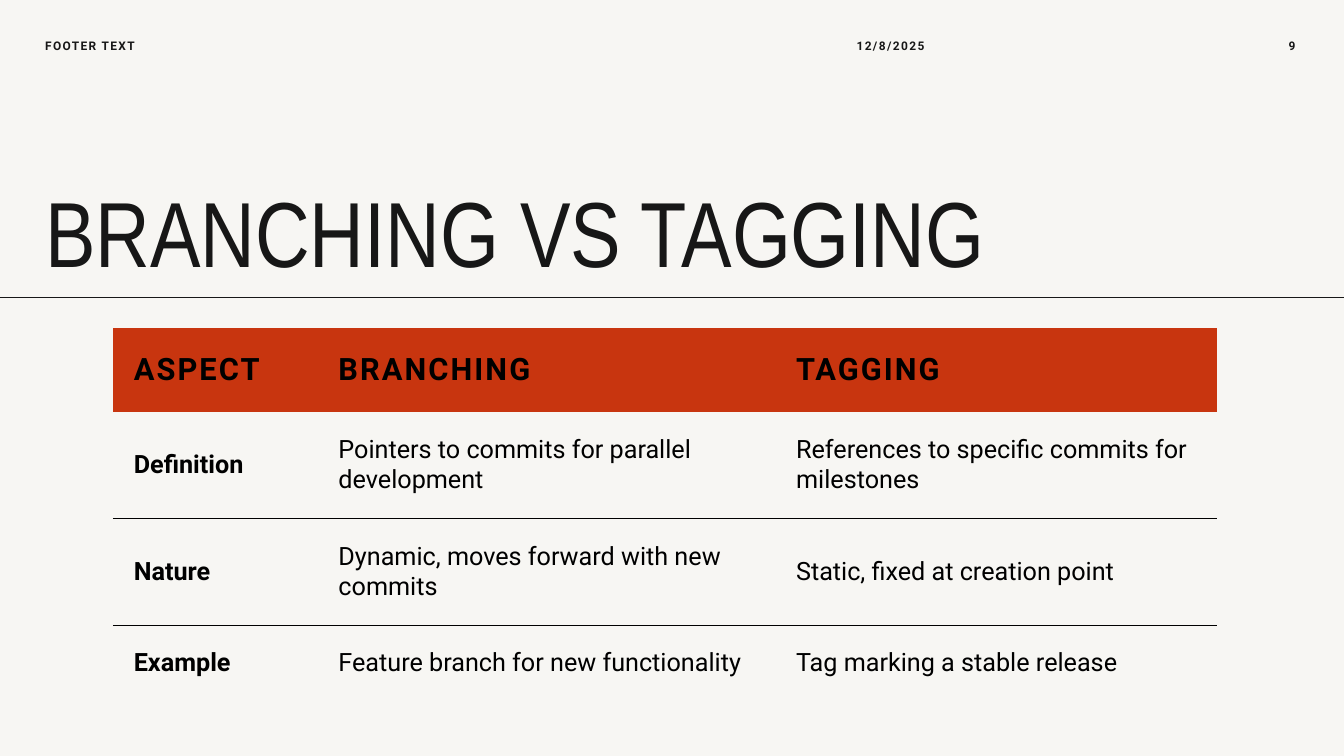
from lxml.etree import SubElement as Sub
from pptx import Presentation
from pptx.dml.color import RGBColor
from pptx.enum.text import MSO_ANCHOR as Anchor, PP_ALIGN as Align
from pptx.oxml import parse_xml
from pptx.oxml.ns import nsdecls, qn
from pptx.util import Pt

INK, BLACK, RED, PAPER = "171717", "000000", "C8350F", "F7F6F3"
NO_GRID = "{2D5ABB26-0587-4C30-8999-92F81FD0307C}"
ROWS = [
    ("ASPECT", "BRANCHING", "TAGGING"),
    ("Definition", "Pointers to commits for parallel development",
     "References to specific commits for milestones"),
    ("Nature", "Dynamic, moves forward with new commits",
     "Static, fixed at creation point"),
    ("Example", "Feature branch for new functionality",
     "Tag marking a stable release"),
]
WIDTHS = (146.2, 326.9, 315.4)
HEIGHTS = (59.8, 76.3, 76.3, 54.7)


def paint(color, code):
    color.rgb = RGBColor.from_string(code)


def style(para, size, code, bold=False, face="Roboto", gap=0):
    for run in para.runs:
        font = run.font
        font.name, font.size, font.bold = face, Pt(size), bold
        paint(font.color, code)
        if gap:
            run._r.get_or_add_rPr().set("spc", str(round(gap * 100)))


def add_text(slide, box, text, anchor):
    frame = slide.shapes.add_textbox(*map(Pt, box)).text_frame
    frame.word_wrap = True
    frame.vertical_anchor = anchor
    frame.text = text
    return frame.paragraphs[0]


def add_head(slide, box):
    x, y, width, height = box
    # Footer text, date and slide number
    parts = [("FOOTER TEXT", 0, 233.3, Align.LEFT, 1),
             ("12/8/2025", 579.6, 151.2, Align.LEFT, 1),
             ("9", 864, 43.2, Align.RIGHT, 0)]
    for text, left, wide, align, gap in parts:
        para = add_text(slide, (x + left, y, wide, 32.4), text, Anchor.MIDDLE)
        para.alignment = align
        para.space_after = Pt(6)
        style(para, 8.5, INK, True, gap=gap)
    # Title
    para = add_text(slide, (x, y + 64.8, width, height - 64.8),
                    "BRANCHING VS TAGGING", Anchor.BOTTOM)
    para.line_spacing = 0.7
    style(para, 66, INK, face="Arial Narrow")


def add_rule(slide, y, width):
    rule = slide.shapes.add_connector(1, 0, Pt(y), Pt(width), Pt(y))
    paint(rule.line.color, INK)
    rule.line.width = Pt(0.75)
    Sub(rule._element.spPr, qn("a:effectLst"))


def add_edge(cell, side, spot):
    edge = parse_xml(
        f'<a:{side} {nsdecls("a")} w="6350"><a:solidFill>'
        f'<a:srgbClr val="{BLACK}"/></a:solidFill></a:{side}>')
    cell._tc.get_or_add_tcPr().insert(spot, edge)


def fill_cell(cell, text, row, col):
    head = row == 0
    cell.vertical_anchor = Anchor.MIDDLE
    cell.margin_left = cell.margin_right = Pt(15)
    cell.margin_top = cell.margin_bottom = Pt(15)
    if head:
        cell.fill.solid()
        paint(cell.fill.fore_color, RED)
    else:
        cell.fill.background()
    # Hairlines between body rows
    if 0 < row < len(ROWS) - 1:
        add_edge(cell, "lnB", 0)
    if row > 1:
        add_edge(cell, "lnT", 0)
    cell.text_frame.text = text
    style(cell.text_frame.paragraphs[0], 22 if head else 18, BLACK,
          head or col == 0, gap=1.5 if head else 0)


def add_grid(slide, x, y):
    box = map(Pt, (x, y, sum(WIDTHS), sum(HEIGHTS)))
    table = slide.shapes.add_table(len(ROWS), len(WIDTHS), *box).table
    table.horz_banding = False
    table._tbl.tblPr.find(qn("a:tableStyleId")).text = NO_GRID
    for col, width in zip(table.columns, WIDTHS):
        col.width = Pt(width)
    for row, height in zip(table.rows, HEIGHTS):
        row.height = Pt(height)
    for r, texts in enumerate(ROWS):
        for c, text in enumerate(texts):
            fill_cell(table.cell(r, c), text, r, c)


def main():
    deck = Presentation()
    deck.slide_width, deck.slide_height = Pt(960), Pt(540)
    slide = deck.slides.add_slide(deck.slide_layouts[6])
    slide.background.fill.solid()
    paint(slide.background.fill.fore_color, PAPER)
    add_rule(slide, 212.8, 960)
    add_head(slide, (25.2, 16.6, 899.3, 189.3))
    add_grid(slide, 80.6, 234.2)
    deck.save("out.pptx")


if __name__ == "__main__":
    main()
